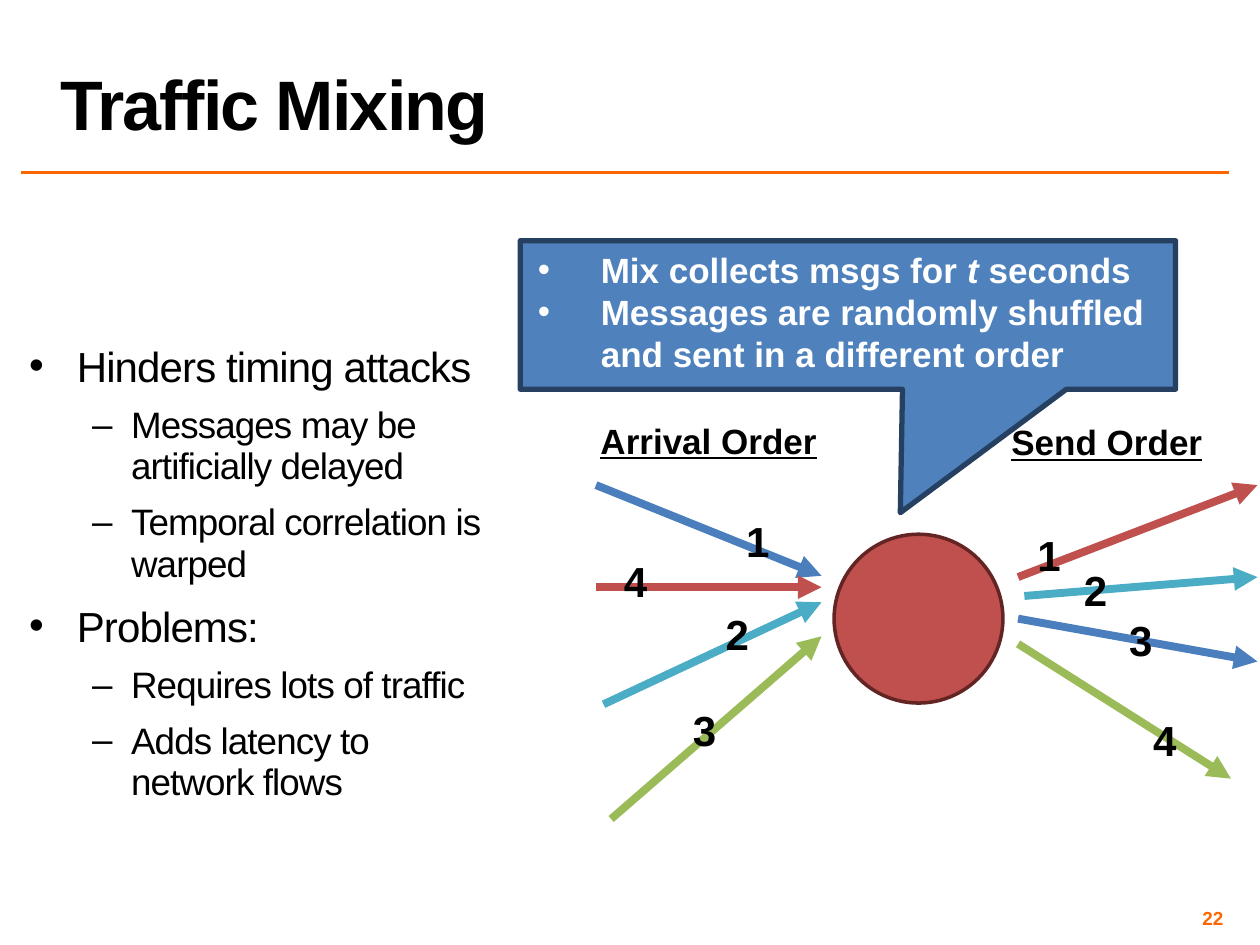
from typing import NamedTuple

from lxml import etree
from pptx import Presentation
from pptx.dml.color import RGBColor
from pptx.enum.shapes import MSO_CONNECTOR, MSO_SHAPE
from pptx.enum.text import MSO_ANCHOR, PP_ALIGN
from pptx.oxml.ns import qn
from pptx.util import Inches, Pt

STRAIGHT = MSO_CONNECTOR.STRAIGHT
OVAL, CALLOUT = MSO_SHAPE.OVAL, MSO_SHAPE.RECTANGULAR_CALLOUT
TOP, MIDDLE, BOTTOM = MSO_ANCHOR.TOP, MSO_ANCHOR.MIDDLE, MSO_ANCHOR.BOTTOM
LEFT, CENTER, RIGHT = PP_ALIGN.LEFT, PP_ALIGN.CENTER, PP_ALIGN.RIGHT

BLACK = RGBColor(0x00, 0x00, 0x00)
WHITE = RGBColor(0xFF, 0xFF, 0xFF)
ORANGE = RGBColor(0xFF, 0x66, 0x00)
BLUE = RGBColor(0x4B, 0x7E, 0xBC)
TEAL = RGBColor(0x4B, 0xAC, 0xC6)
GREEN = RGBColor(0x9B, 0xBB, 0x59)
RED = RGBColor(0xC0, 0x50, 0x4D)
DARK_RED = RGBColor(0x63, 0x25, 0x23)
CALLOUT_BLUE = RGBColor(0x4F, 0x81, 0xBD)
NAVY = RGBColor(0x25, 0x40, 0x61)


class Box(NamedTuple):
    left: float
    top: float
    width: float
    height: float


class Message(NamedTuple):
    """One numbered arrow into or out of the mix."""
    number: str
    start: tuple[float, float]
    end: tuple[float, float]
    color: RGBColor
    label: Box


class Level(NamedTuple):
    bullet: str
    indent: float
    hanging: float
    size: float
    line_spacing: float


POINT = Level("•", 0.38, 0.38, 24, 1.0)
DETAIL = Level("–", 0.81, 0.31, 21, 0.95)
CALLOUT_POINT = Level("•", 0.5, 0.5, 20, 1.0)

MESSAGES = [
    Message("1", (4.73, 3.85), (6.52, 4.57), BLUE, Box(5.82, 4.04, 0.39, 0.61)),
    Message("2", (4.79, 5.59), (6.52, 4.78), TEAL, Box(5.66, 4.78, 0.35, 0.61)),
    Message("3", (4.85, 6.5), (6.52, 5.05), GREEN, Box(5.4, 5.54, 0.34, 0.61)),
    Message("4", (4.73, 4.66), (6.52, 4.66), RED, Box(4.85, 4.36, 0.39, 0.61)),
    Message("1", (8.08, 4.58), (9.98, 3.85), RED, Box(8.13, 4.15, 0.39, 0.5)),
    Message("2", (8.13, 4.73), (9.98, 4.58), TEAL, Box(8.5, 4.43, 0.39, 0.5)),
    Message("3", (8.08, 4.91), (9.98, 5.25), BLUE, Box(8.86, 4.83, 0.39, 0.5)),
    Message("4", (8.08, 5.11), (9.77, 6.18), GREEN, Box(9.05, 5.62, 0.39, 0.5)),
]

OUTLINE = [
    (POINT, "Hinders timing attacks"),
    (DETAIL, "Messages may be artificially delayed"),
    (DETAIL, "Temporal correlation is warped"),
    (POINT, "Problems:"),
    (DETAIL, "Requires lots of traffic"),
    (DETAIL, "Adds latency to network flows"),
]


def place(box: Box) -> list[int]:
    return [Inches(value) for value in box]


def style_runs(paragraph, size: float, color: RGBColor, bold: bool = True,
               spacing: float = 0) -> None:
    """Format every run; spacing is the letter spacing in points."""
    for run in paragraph.runs:
        run.font.name = "Arial"
        run.font.size = Pt(size)
        run.font.bold = bold
        run.font.color.rgb = color
        if spacing:
            run.font._element.set("spc", str(int(spacing * 100)))


def add_frame(slide, box: Box, wrap: bool = True, anchor=TOP,
              inset: float | None = None):
    frame = slide.shapes.add_textbox(*place(box)).text_frame
    frame.word_wrap = wrap
    frame.vertical_anchor = anchor
    if inset is not None:
        frame.margin_left = frame.margin_right = Inches(inset)
        frame.margin_top = frame.margin_bottom = Inches(inset)
    return frame


def add_label(slide, box: Box, text: str, size: float, underline: bool = False) -> None:
    frame = add_frame(slide, box, wrap=False)
    frame.text = text
    heading = frame.paragraphs[0]
    heading.alignment = CENTER
    style_runs(heading, size, BLACK)
    heading.runs[0].font.underline = underline


def set_bullet(paragraph, level: Level) -> None:
    properties = paragraph._p.get_or_add_pPr()
    properties.set("marL", str(Inches(level.indent)))
    properties.set("indent", str(-Inches(level.hanging)))
    etree.SubElement(properties, qn("a:buFont"), typeface="Arial")
    etree.SubElement(properties, qn("a:buChar"), char=level.bullet)
    paragraph.line_spacing = level.line_spacing
    paragraph.alignment = LEFT


def add_line(slide, start: tuple[float, float], end: tuple[float, float],
             color: RGBColor, width: float, arrow: bool = False) -> None:
    points = [Inches(value) for value in (*start, *end)]
    connector = slide.shapes.add_connector(STRAIGHT, *points)
    connector.line.color.rgb = color
    connector.line.width = Pt(width)
    if arrow:
        etree.SubElement(connector.line._get_or_add_ln(), qn("a:tailEnd"), type="triangle")
    etree.SubElement(connector._element.spPr, qn("a:effectLst"))


def add_filled(slide, kind, box: Box, fill: RGBColor, outline: RGBColor, width: float):
    shape = slide.shapes.add_shape(kind, *place(box))
    shape.shadow.inherit = False
    shape.fill.solid()
    shape.fill.fore_color.rgb = fill
    shape.line.color.rgb = outline
    shape.line.width = Pt(width)
    return shape


def add_header_and_number(slide) -> None:
    add_line(slide, (0.17, 1.37), (9.75, 1.37), ORANGE, 2)
    title_frame = add_frame(slide, Box(0.38, 0.02, 9.37, 1.17), anchor=BOTTOM)
    title_frame.text = "Traffic Mixing"
    title = title_frame.paragraphs[0]
    title.line_spacing = 0.8
    style_runs(title, 40, BLACK, spacing=-1)

    number_frame = add_frame(slide, Box(7.42, 7.17, 2.33, 0.23), anchor=MIDDLE, inset=0.04)
    number_frame.text = "22"
    number = number_frame.paragraphs[0]
    number.alignment = RIGHT
    style_runs(number, 10.8, ORANGE)


def add_outline(slide) -> None:
    frame = add_frame(slide, Box(0.19, 2.66, 3.68, 3.96), inset=0.04)
    frame.text = "\n".join(text for _, text in OUTLINE)
    for index, (paragraph, (level, _)) in enumerate(zip(frame.paragraphs, OUTLINE)):
        set_bullet(paragraph, level)
        paragraph.level = int(level is DETAIL)
        if index:
            paragraph.space_before = Pt(8)
        style_runs(paragraph, level.size, BLACK, bold=False, spacing=-0.5)


def add_callout(slide) -> None:
    callout = add_filled(slide, CALLOUT, Box(4.13, 1.91, 5.2, 1.18), CALLOUT_BLUE, NAVY, 3)
    callout.adjustments[0] = 0.08
    callout.adjustments[1] = 1.33
    frame = add_frame(slide, Box(4.17, 1.92, 5.2, 1.15))
    collecting, shuffling = frame.paragraphs[0], frame.add_paragraph()
    for text in ("Mix collects msgs for ", "t ", "seconds"):
        collecting.add_run().text = text
    shuffling.text = "Messages are randomly shuffled and sent in a different order"
    for paragraph in (collecting, shuffling):
        set_bullet(paragraph, CALLOUT_POINT)
        style_runs(paragraph, CALLOUT_POINT.size, WHITE)
    collecting.runs[1].font.italic = True


def main() -> None:
    deck = Presentation()
    deck.slide_width, deck.slide_height = Inches(10), Inches(7.5)
    slide = deck.slides.add_slide(deck.slide_layouts[6])
    add_header_and_number(slide)
    add_outline(slide)
    add_filled(slide, OVAL, Box(6.62, 4.24, 1.34, 1.34), RED, DARK_RED, 2)
    for message in MESSAGES:
        add_line(slide, message.start, message.end, message.color, 4.5, arrow=True)
        add_label(slide, message.label, message.number, 24)
    add_label(slide, Box(4.66, 3.28, 1.93, 0.44), "Arrival Order", 20, underline=True)
    add_label(slide, Box(7.92, 3.29, 1.73, 0.44), "Send Order", 20, underline=True)
    add_callout(slide)
    deck.save("out.pptx")


if __name__ == "__main__":
    main()
